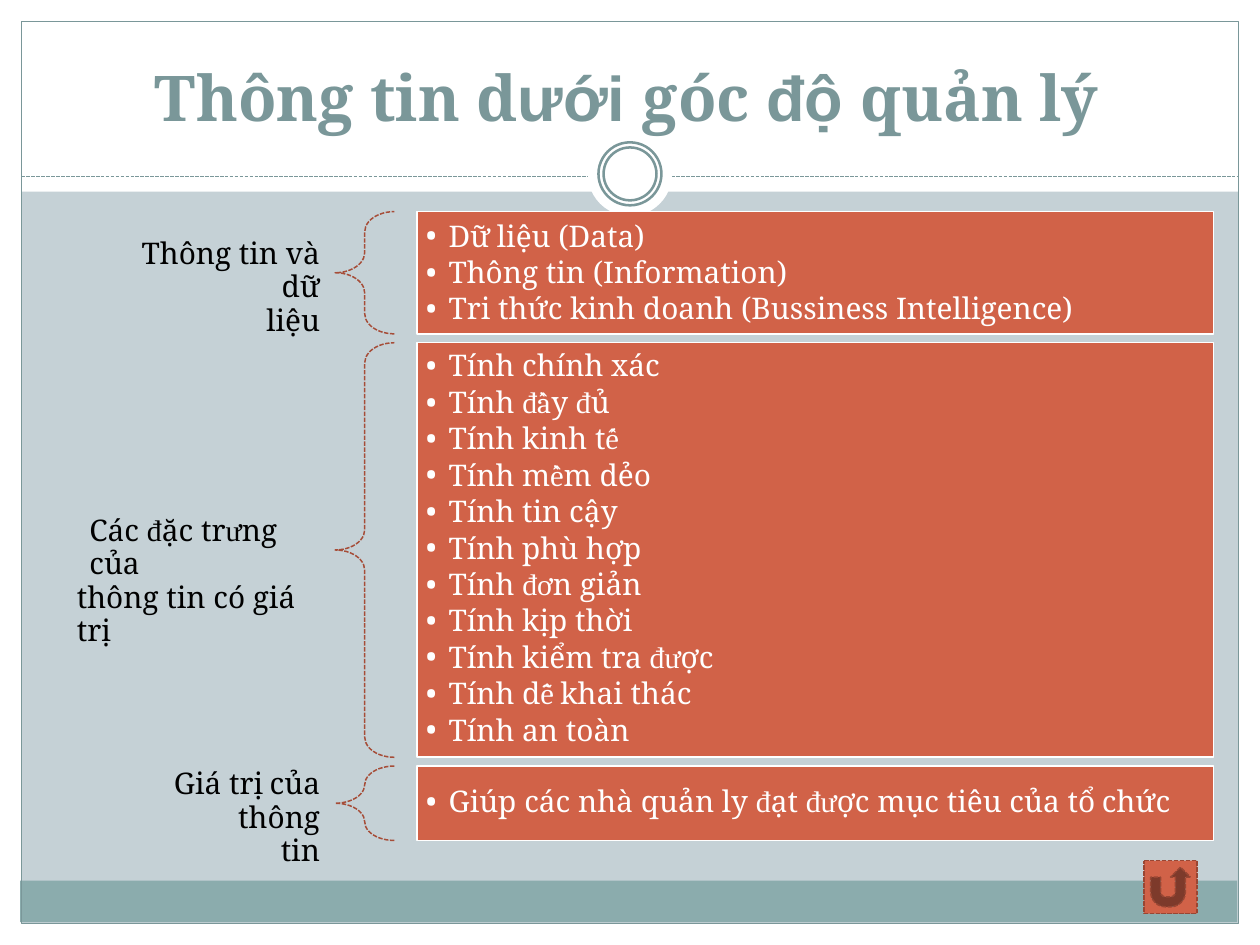
import pptx
import pptx.util
import pptx.dml.color
import pptx.enum.dml
import pptx.enum.shapes
import pptx.enum.text
import pptx.oxml
import pptx.oxml.ns
import itertools

Inches, Pt = pptx.util.Inches, pptx.util.Pt
MSO = pptx.enum.shapes.MSO_SHAPE
ALIGN = pptx.enum.text.PP_ALIGN
DASH = pptx.enum.dml.MSO_LINE.SQUARE_DOT
SYS_DASH = "sysDash"
SERIF = "Noto Serif"


def style(sp, fill=None, line=None, width=0.84, dashed=False):
    """Set fill and line from hex strings; None means no paint."""
    color = pptx.dml.color.RGBColor.from_string
    if fill:
        sp.fill.solid()
        sp.fill.fore_color.rgb = color(fill)
    elif hasattr(sp, "fill"):
        sp.fill.background()
    if line:
        sp.line.color.rgb = color(line)
        sp.line.width = Pt(width)
        if dashed:
            sp.line.dash_style = DASH
            sp.line._ln.find(pptx.oxml.ns.qn("a:prstDash")).set("val", SYS_DASH)
    else:
        sp.line.fill.background()
    if hasattr(sp, "shadow"):
        sp.shadow.inherit = False
    else:
        sp._element.spPr.append(pptx.oxml.parse_xml(
            "<a:effectLst %s/>" % pptx.oxml.ns.nsdecls("a")))


def write(p, text, size=17, color="000000", bold=False, font=None, spacing=None):
    """Add runs; without a font, accented letters get their own typefaces."""
    fonts = []
    for ch in text:
        if font:
            fonts.append(font)
        elif ch == " " and fonts:
            fonts.append(fonts[-1])
        elif ch in "đươ":
            fonts.append("Times New Roman")
        else:
            fonts.append("Cambria" if ord(ch) >= 0x1E00 else SERIF)
    for name, group in itertools.groupby(zip(text, fonts), lambda pair: pair[1]):
        r = p.add_run()
        r.text = "".join(ch for ch, _ in group)
        r.font.name = name
        r.font.size = Pt(size)
        r.font.bold = bold
        r.font.color.rgb = pptx.dml.color.RGBColor.from_string(color)
    p.line_spacing = Pt(spacing)


prs = pptx.Presentation()
prs.slide_width, prs.slide_height = Inches(10), Inches(7.5)
s = prs.slides.add_slide(prs.slide_layouts[6])

# Background panel, footer band and frame
for x, y, w, h, fill, line in [
    (0.17, 1.52, 9.66, 5.81, "C5D1D6", None),
    (0.16, 6.99, 9.66, 0.33, "8BACAD", None),
    (0.17, 0.17, 9.66, 7.16, None, "7A9799"),
]:
    sp = s.shapes.add_shape(MSO.RECTANGLE, Inches(x), Inches(y), Inches(w), Inches(h))
    style(sp, fill, line, 0.72)

# Dashed divider with a double ring
divider = s.shapes.add_connector(pptx.enum.shapes.MSO_CONNECTOR.STRAIGHT,
                                 Inches(0.17), Inches(1.4), Inches(9.83), Inches(1.4))
style(divider, line="7A9799", width=0.72, dashed=True)
for d, fill, line in [(0.67, "FFFFFF", None), (0.5, None, "7A9799"), (0.42, None, "7A9799")]:
    sp = s.shapes.add_shape(MSO.OVAL, Inches(5 - d / 2), Inches(1.38 - d / 2),
                            Inches(d), Inches(d))
    style(sp, fill, line, 1.44)

# Title
tf = s.shapes.add_textbox(Inches(1.22), Inches(0.4), Inches(7.55), Inches(0.63)).text_frame
tf.word_wrap = True
tf.margin_left = tf.margin_top = Inches(0.01)
tf.margin_right = tf.margin_bottom = 0
for text, font in [("Thông tin d", SERIF), ("ưới ", "Arial"), ("góc ", SERIF),
                   ("độ ", "Arial"), ("qu", SERIF), ("ả", "Cambria"), ("n lý", SERIF)]:
    write(tf.paragraphs[0], text, size=36, color="7A9799", bold=True, font=font, spacing=47)

# Groups: top, height, text inset, label (left, top, width, lines), points
groups = [
    (1.68, 0.97, 0.04, (0.86, 1.86, 1.68, ["Thông tin và dữ", "liệu"]),
     ["Dữ liệu (Data)", "Thông tin (Information)",
      "Tri thức kinh doanh (Bussiness Intelligence)"]),
    (2.72, 3.29, 0.03, (0.6, 4.06, 1.94, ["Các đặc trưng của", "thông tin có giá trị"]),
     ["Tính chính xác", "Tính đầy đủ", "Tính kinh tế", "Tính mềm dẻo", "Tính tin cậy",
      "Tính phù hợp", "Tính đơn giản", "Tính kịp thời", "Tính kiểm tra được",
      "Tính dễ khai thác", "Tính an toàn"]),
    (6.08, 0.59, 0.13, (0.77, 6.07, 1.77, ["Giá trị của thông", "tin"]),
     ["Giúp các nhà quản ly đạt được mục tiêu của tổ chức"]),
]
for i, (top, height, inset, (lx, ly, lw, lines), points) in enumerate(groups):
    # Label
    tf = s.shapes.add_textbox(Inches(lx), Inches(ly), Inches(lw), Inches(0.56)).text_frame
    tf.word_wrap = True
    tf.margin_left = tf.margin_right = tf.margin_bottom = 0
    tf.margin_top = Inches(0.02)
    for j, text in enumerate(lines):
        p = tf.add_paragraph() if j else tf.paragraphs[0]
        if i == 1:
            p._p.get_or_add_pPr().set("marL", str(Inches((0.11, 0.01)[j])))
        else:
            p.alignment = ALIGN.RIGHT
        write(p, text, spacing=19.1)

    # Brace
    brace = s.shapes.add_shape(MSO.LEFT_BRACE, Inches(2.66), Inches(top),
                               Inches(0.47), Inches(height))
    brace.adjustments[0] = min(0.16, height / 4) / 0.47
    style(brace, line="A64D38", dashed=True)

    # Box with bullet points
    box = s.shapes.add_shape(MSO.RECTANGLE, Inches(3.31), Inches(top),
                             Inches(6.32), Inches(height))
    style(box, "D16248", "FFFFFF")
    tf = box.text_frame
    tf.word_wrap = True
    tf.vertical_anchor = pptx.enum.text.MSO_ANCHOR.TOP
    tf.margin_left = tf.margin_right = tf.margin_bottom = 0
    tf.margin_top = Inches(inset)
    for j, text in enumerate(points):
        p = tf.add_paragraph() if j else tf.paragraphs[0]
        p.alignment = ALIGN.LEFT
        write(p, text, color="FFFFFF", spacing=20.8)
        pPr = p._p.get_or_add_pPr()
        pPr.set("marL", str(Inches(0.25)))
        pPr.set("indent", str(Inches(-0.18)))
        for tag in ('buFont %s typeface="Noto Serif"', 'buChar %s char="•"'):
            pPr.append(pptx.oxml.parse_xml("<a:%s/>" % (tag % pptx.oxml.ns.nsdecls("a"))))

# Return button
button = s.shapes.add_shape(MSO.ACTION_BUTTON_RETURN, Inches(9.08), Inches(6.83),
                            Inches(0.42), Inches(0.42))
style(button, "D16248", "994633", dashed=True)

prs.save("out.pptx")
